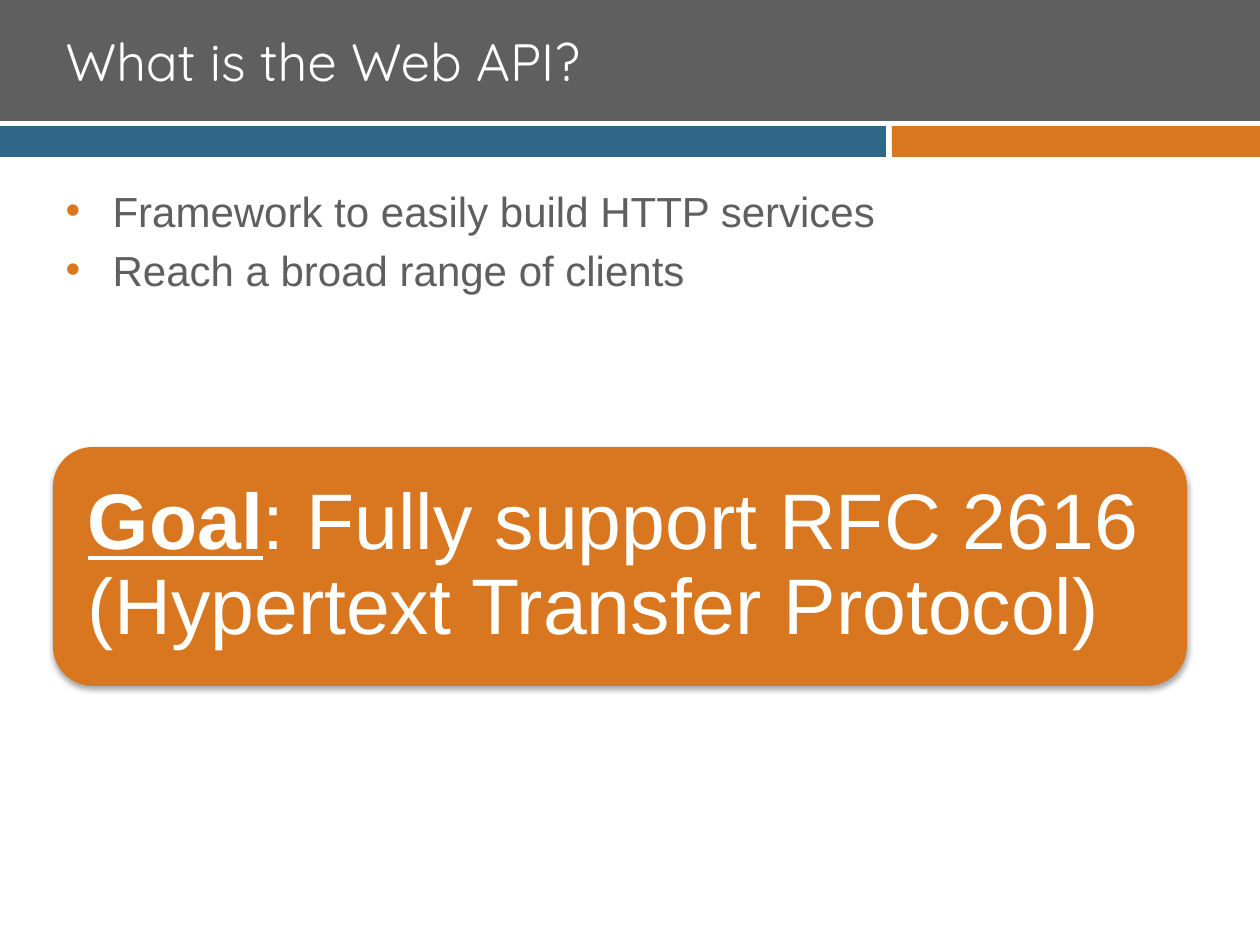
from typing import NamedTuple

from lxml.etree import SubElement as Sub
from pptx import Presentation
from pptx.dml.color import RGBColor as Rgb
from pptx.enum.shapes import MSO_SHAPE as Shape
from pptx.enum.text import MSO_ANCHOR as Anchor, MSO_AUTO_SIZE as Auto, PP_ALIGN as Align
from pptx.oxml.ns import qn
from pptx.util import Emu, Pt

SCALE = 914400 / 126
HUES = {"gray": "5F5F5F", "orange": "D8771F", "blue": "31668B", "white": "FFFFFF", "black": "000000"}


class Box(NamedTuple):
    left: int
    top: int
    width: int
    height: int


class Band(NamedTuple):
    box: Box
    hue: str


BANDS = [
    Band(Box(0, 0, 1260, 121), "gray"),
    Band(Box(892, 126, 368, 31), "orange"),
    Band(Box(0, 126, 886, 31), "blue"),
]
ITEMS = ["Framework to easily build HTTP services", "Reach a broad range of clients"]


def px(size: int) -> Emu:
    return Emu(round(size * SCALE))


def spot(box: Box) -> list[Emu]:
    return [px(size) for size in box]


def place(shape, box: Box) -> None:
    shape.left, shape.top, shape.width, shape.height = spot(box)


def fill(shapes, kind: Shape, box: Box, hue: str):
    shape = shapes.add_shape(kind, *spot(box))
    shape.shadow.inherit = False
    shape.fill.solid()
    shape.fill.fore_color.rgb = Rgb.from_string(HUES[hue])
    shape.line.fill.background()
    return shape


def style(run, face: str, size: int, hue: str) -> None:
    run.font.name = face
    run.font.size = Pt(size)
    run.font.color.rgb = Rgb.from_string(HUES[hue])


def shade(effects, blur: float, dist: float, angle: int, alpha: int) -> None:
    shadow = Sub(effects, qn("a:outerShdw"), blurRad=str(Pt(blur)), dist=str(Pt(dist)),
                 dir=str(angle * 60000), algn="tl", rotWithShape="0")
    color = Sub(shadow, qn("a:srgbClr"), val=HUES["black"])
    Sub(color, qn("a:alpha"), val=str(alpha * 1000))


def add_title(slide) -> None:
    title = slide.shapes.title
    place(title, Box(53, 10, 1144, 101))
    frame = title.text_frame
    frame.text = "What is the Web API?"
    frame.auto_size = Auto.NONE
    frame.vertical_anchor = Anchor.MIDDLE
    para = frame.paragraphs[0]
    para.alignment = Align.LEFT
    run = para.runs[0]
    style(run, "Quicksand", 30, "white")
    props = run.font._element
    effects = Sub(props, qn("a:effectLst"))
    props.find(qn("a:solidFill")).addnext(effects)
    shade(effects, 0, 3, 45, 100)


def add_list(slide) -> None:
    body = slide.placeholders[1]
    place(body, Box(53, 179, 1134, 147))
    frame = body.text_frame
    frame.text = "\n".join(ITEMS)
    frame.auto_size = Auto.NONE
    for para in frame.paragraphs:
        style(para.runs[0], "Arial", 24, "gray")
        props = para._p.get_or_add_pPr()
        props.set("marL", str(px(47)))
        props.set("indent", str(px(-47)))
        color = Sub(props, qn("a:buClr"))
        Sub(color, qn("a:srgbClr"), val=HUES["orange"])
        Sub(props, qn("a:buFont"), typeface="Arial")
        Sub(props, qn("a:buChar"), char="•")


def add_goal(slide) -> None:
    group = slide.shapes.add_group_shape()
    card = fill(group.shapes, Shape.ROUNDED_RECTANGLE, Box(53, 447, 1134, 239), "orange")
    shade(card._element.spPr.find(qn("a:effectLst")), 3.1, 2, 90, 35)
    label = group.shapes.add_textbox(*spot(Box(64, 459, 1110, 215)))
    frame = label.text_frame
    frame.word_wrap = True
    frame.vertical_anchor = Anchor.MIDDLE
    frame.margin_left = frame.margin_right = px(24)
    frame.margin_top = frame.margin_bottom = px(24)
    para = frame.paragraphs[0]
    para.line_spacing = 0.9
    for text, strong in [("Goal", True), (": Fully support RFC 2616 (Hypertext Transfer Protocol)", False)]:
        run = para.add_run()
        run.text = text
        style(run, "Arial", 45, "white")
        run.font.bold = run.font.underline = strong


def main() -> None:
    deck = Presentation()
    deck.slide_width, deck.slide_height = px(1260), px(945)
    slide = deck.slides.add_slide(deck.slide_layouts[1])
    holders = list(slide.placeholders)
    for band in BANDS:
        fill(slide.shapes, Shape.RECTANGLE, band.box, band.hue)
    for holder in holders:
        slide.shapes._spTree.append(holder._element)
    add_title(slide)
    add_list(slide)
    add_goal(slide)
    deck.save("out.pptx")


if __name__ == "__main__":
    main()
